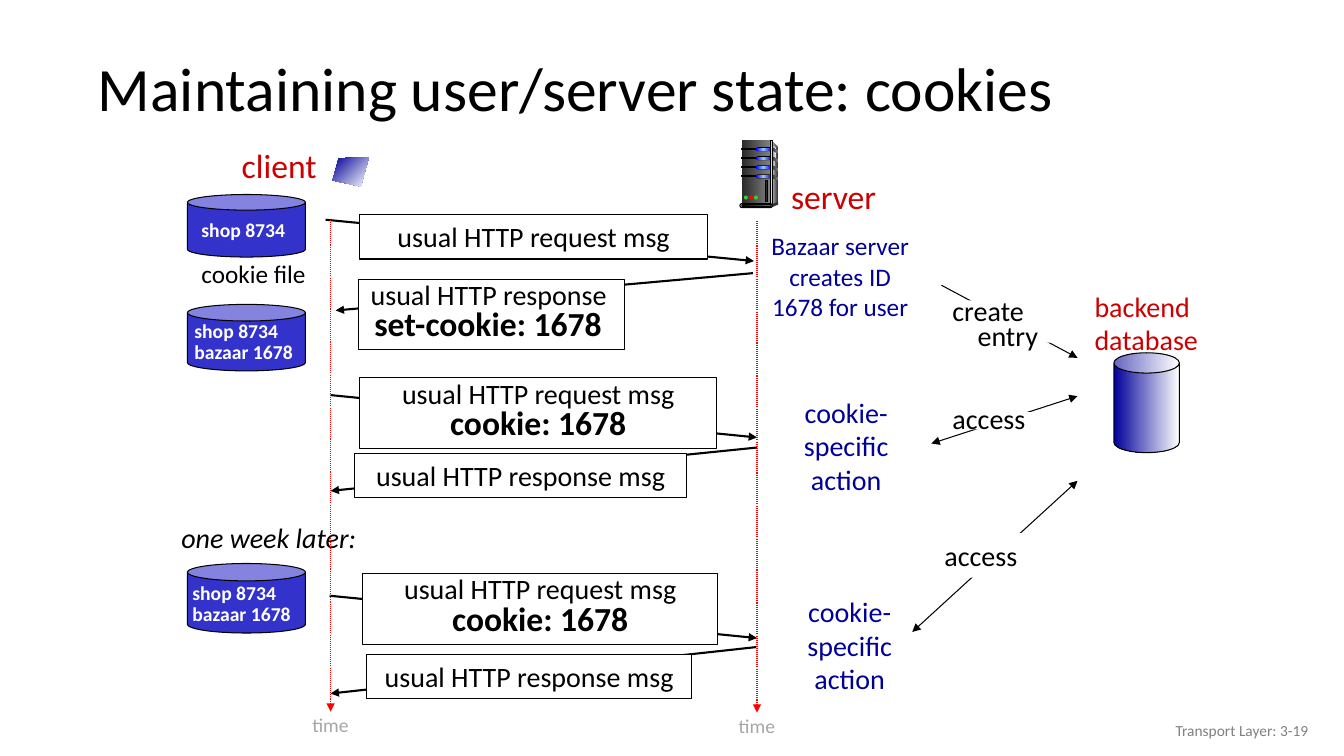
from copy import deepcopy
from dataclasses import dataclass
from typing import NamedTuple

from pptx import Presentation
from pptx.dml.color import RGBColor
from pptx.enum.dml import MSO_LINE as Dash
from pptx.enum.shapes import MSO_CONNECTOR as Connector, MSO_SHAPE as Preset
from pptx.enum.text import MSO_ANCHOR as Anchor, MSO_AUTO_SIZE as AutoSize, PP_ALIGN as Align
from pptx.oxml.xmlchemy import OxmlElement as Element
from pptx.util import Inches, Pt

FONT = "Calibri"
CELL = Inches(0.1)  # the page is a grid of 133.3 columns by 75 rows
COLOURS = {
    "black": "000000", "white": "FFFFFF", "red": "CC0000", "navy": "000099",
    "can": "3333CC", "axis": "FF0000", "time": "A6A6A6", "grey": "808080",
    "dark": "333333", "darker": "292929", "light": "DDDDDD", "pale": "F8F8F8",
    "glow": "99CCFF", "blue": "0000FF", "green": "33CC33",
}


class Box(NamedTuple):
    left: float
    top: float
    width: float
    height: float


class Line(NamedTuple):
    text: str
    size: int = 20
    bold: bool = False
    indent: float = 0


Point = tuple[float, float]


@dataclass
class Message:
    start: Point
    end: Point
    box: Box
    lines: list[Line]


@dataclass
class Label:
    box: Box
    lines: list[Line]
    colour: str = "black"
    align: Align = Align.LEFT
    spacing: float = 1
    wrap: bool = False
    italic: bool = False


@dataclass
class Link:
    start: Point
    end: Point
    mask: Box
    label: Label
    both_ways: bool = True


def cells(count: float) -> int:
    return round(count * CELL)


def rgb(name: str) -> RGBColor:
    return RGBColor.from_string(COLOURS[name])


deck = Presentation()
deck.slide_width, deck.slide_height = cells(133.33), cells(75)
page = deck.slides.add_slide(deck.slide_layouts[5])


def write(frame, lines: list[Line], *, colour: str = "black", align: Align = Align.LEFT,
          spacing: float = 1, wrap: bool = True, italic: bool = False, grow: bool = True,
          anchor: Anchor = Anchor.TOP) -> None:
    frame.word_wrap = wrap
    frame.auto_size = AutoSize.SHAPE_TO_FIT_TEXT if grow else AutoSize.NONE
    frame.vertical_anchor = anchor
    for index, line in enumerate(lines):
        para = frame.add_paragraph() if index else frame.paragraphs[0]
        para.alignment, para.line_spacing = align, spacing
        if line.indent:
            para._p.get_or_add_pPr().set("marL", str(cells(line.indent)))
        span = para.add_run()
        span.text = line.text
        font = span.font
        font.name, font.size, font.bold, font.italic = FONT, Pt(line.size), line.bold, italic
        font.color.rgb = rgb(colour)


def paint(shape, fills: list[str], outline: bool, angle: float = 0) -> None:
    shape.shadow.inherit = False
    if len(fills) == 1:
        shape.fill.solid()
        shape.fill.fore_color.rgb = rgb(fills[0])
    else:
        shape.fill.gradient()
        shape.fill.gradient_angle = angle
        stop_list = shape.fill._fill._gradFill.gsLst if len(fills) > 2 else None
        if stop_list is not None:
            stop_list.append(deepcopy(stop_list[-1]))
        for index, (stop, name) in enumerate(zip(shape.fill.gradient_stops, fills)):
            stop.color.rgb = rgb(name)
            stop.position = index / (len(fills) - 1)
    if outline:
        shape.line.color.rgb, shape.line.width = rgb("black"), Pt(0.75)
    else:
        shape.line.fill.background()


def add_preset(kind: Preset, box: Box, *fills: str, outline: bool = False,
               adjust: float | None = None):
    shape = page.shapes.add_shape(kind, *map(cells, box))
    if adjust is not None:
        shape.adjustments[0] = adjust
    paint(shape, list(fills), outline)
    return shape


def add_outline(points: list[Point], *fills: str, angle: float = 0) -> None:
    corners = [(cells(x), cells(y)) for x, y in points]
    builder = page.shapes.build_freeform(*corners[0])
    builder.add_line_segments(corners[1:], close=True)
    paint(builder.convert_to_shape(), list(fills), False, angle)


def add_arrow(start: Point, end: Point, *, width: float = 0.75, colour: str = "black",
              both_ways: bool = False, dotted: bool = False) -> None:
    arrow = page.shapes.add_connector(Connector.STRAIGHT, *map(cells, (*start, *end)))
    arrow.line.color.rgb, arrow.line.width = rgb(colour), Pt(width)
    if dotted:
        arrow.line.dash_style = Dash.ROUND_DOT
    for tag in ["a:headEnd", "a:tailEnd"] if both_ways else ["a:tailEnd"]:
        tip = Element(tag)
        tip.set("type", "triangle")
        arrow.line._get_or_add_ln().append(tip)
    arrow._element.spPr.append(Element("a:effectLst"))


def add_label(label: Label) -> None:
    box = page.shapes.add_textbox(*map(cells, label.box))
    write(box.text_frame, label.lines, colour=label.colour, align=label.align,
          spacing=label.spacing, wrap=label.wrap, italic=label.italic)


def add_message(message: Message) -> None:
    add_arrow(message.start, message.end, width=1.5)
    box = add_preset(Preset.RECTANGLE, message.box, "white", outline=True)
    write(box.text_frame, message.lines, align=Align.CENTER,
          spacing=0.8 if len(message.lines) > 1 else 1)


def add_link(link: Link) -> None:
    add_arrow(link.start, link.end, both_ways=link.both_ways)
    add_preset(Preset.RECTANGLE, link.mask, "white")
    add_label(link.label)


def add_cookie_file(box: Box, label: Label) -> None:
    add_preset(Preset.CAN, box, "can", outline=True, adjust=0.25)
    add_label(label)


def add_server() -> None:
    add_outline([(76.5, 13.9), (77.2, 14.7), (77.2, 20), (76.4, 20.3)], "light", "dark")
    add_preset(Preset.RECTANGLE, Box(73.6, 13.9, 2.8, 6.4), "darker", "grey")
    add_outline([(76.6, 14.3), (77, 14.8), (76.7, 17.5), (76.6, 20.1)], "grey", "pale")
    for row in range(4):  # drive bays
        top = 14.6 + 0.9 * row
        add_preset(Preset.RECTANGLE, Box(73.6, top + 0.1, 1.6, 0.1), "black", outline=True)
        add_preset(Preset.ROUNDED_RECTANGLE, Box(75, top, 1.6, 0.4), "black", adjust=0.5)
        add_preset(Preset.ROUNDED_RECTANGLE, Box(75, top + 0.05, 1.5, 0.3),
                   "blue", "glow", "blue", adjust=0.5)
        add_outline([(76.5, top), (77.2, top + 0.35), (77.2, top + 0.6), (76.5, top + 0.25)],
                    "darker", "grey")
    add_preset(Preset.RECTANGLE, Box(76.4, 13.9, 0.2, 6.4), "dark", "light", "dark", outline=True)
    add_outline([(76.5, 20.3), (76.5, 20.6), (77.2, 20.3), (77.2, 20)], "dark")
    add_preset(Preset.ROUNDED_RECTANGLE, Box(73.4, 20.2, 3.2, 0.4), "light", outline=True, adjust=0.5)
    add_preset(Preset.ROUNDED_RECTANGLE, Box(73.6, 20.3, 2.9, 0.2), "black", "grey",
               outline=True, adjust=0.5)
    for index, lamp in enumerate(["green", "axis", "green"]):
        add_preset(Preset.OVAL, Box(73.8 + 0.5 * index, 19.4, 0.4, 0.4), lamp)
    add_preset(Preset.RECTANGLE, Box(75.9, 17.9, 0.2, 2.1), "darker", outline=True)


REQUEST, RESPONSE = Line("usual HTTP request msg"), Line("usual HTTP response msg")
WITH_COOKIE = [REQUEST, Line("cookie: 1678", 24, True)]
SET_COOKIE = [Line("usual HTTP response "), Line("set-cookie: 1678 ", 24, True)]
FIRST_ENTRY, SECOND_ENTRY = Line("shop 8734", 14, True), Line("bazaar 1678", 14, True)
ACTION = [Line("cookie-"), Line("specific"), Line("action")]
CREATES_ID = [Line(text, 18) for text in ("Bazaar server", "creates ID", "1678 for user")]
ACCESS = [Line("access")]

MESSAGES = [
    Message((75.1, 44.4), (32.8, 48.7), Box(35.2, 45, 32.9, 4.4), [RESPONSE]),
    Message((75, 64.2), (32.8, 68.8), Box(36.4, 64.9, 32.2, 4.4), [RESPONSE]),
    Message((32.8, 39.2), (75.1, 43.4), Box(35.7, 37.5, 35.4, 7), WITH_COOKIE),
    Message((32.3, 21.8), (74.8, 25.9), Box(35.7, 21.3, 34.5, 4.4), [REQUEST]),
    Message((74.7, 27.1), (33.3, 30.8), Box(35.6, 27.7, 26.4, 7), SET_COOKIE),
    Message((32.7, 59.1), (75.1, 63.3), Box(36, 56.9, 35.2, 7), WITH_COOKIE),
]
LABELS = [
    Label(Box(22.9, 13.9, 9.6, 5), [Line("client", 24)], "red", Align.CENTER),
    Label(Box(77.4, 17, 10.6, 5), [Line("server", 24)], "red", Align.CENTER),
    Label(Box(19, 25.1, 19.5, 4), [Line("cookie file", 18)], wrap=True),
    Label(Box(17, 51.1, 19.8, 4.4), [Line("one week later:")], italic=True),
    Label(Box(74.7, 22.4, 17.3, 10.1), CREATES_ID, "navy", Align.CENTER),
    Label(Box(77.6, 38.7, 12.7, 11.1), ACTION, "navy", Align.CENTER),
    Label(Box(78, 58.5, 12.6, 11.1), ACTION, "navy", Align.CENTER),
    Label(Box(107.6, 28.2, 12.5, 7.7), [Line("backend"), Line("database")], "red"),
]
LINKS = [
    Link((92.4, 44), (106.9, 39.3), Box(95.7, 40.9, 8.1, 1.7),
         Label(Box(93.5, 39.3, 11.3, 4.4), ACCESS)),
    Link((93.4, 28.3), (106.9, 35.5), Box(95.3, 29.8, 12.3, 4.2),
         Label(Box(93.5, 29.4, 15, 6.2), [Line("create"), Line("entry", indent=2.5)],
               spacing=0.75, wrap=True), both_ways=False),
    Link((90.5, 62.7), (106.9, 47.7), Box(92.7, 52.9, 11.2, 4.4),
         Label(Box(92.7, 52.9, 11.2, 4.4), ACCESS)),
]
COOKIE_FILES = [
    (Box(18.6, 19.3, 11.7, 6.2), Label(Box(19, 21.1, 11, 3.4), [FIRST_ENTRY], "white")),
    (Box(18.6, 30.2, 11.7, 6.6), Label(Box(18.3, 31.4, 15.9, 5.3), [FIRST_ENTRY, SECOND_ENTRY],
                                       "white", spacing=0.9, wrap=True)),
    (Box(18.6, 55.9, 11.7, 6.9), Label(Box(18.1, 57.4, 15.2, 5.2), [FIRST_ENTRY, SECOND_ENTRY],
                                       "white", spacing=0.9, wrap=True)),
]

# Title
title = page.shapes.title
title.left, title.top, title.width, title.height = map(cells, Box(8.7, 4.2, 115, 9.8))
write(title.text_frame, [Line("Maintaining user/server state: cookies", 44)],
      spacing=0.9, grow=False, anchor=Anchor.MIDDLE)

# Exchange between client and server, and access to the database
for message in MESSAGES:
    add_message(message)
for link in LINKS:
    add_link(link)
for can, entries in COOKIE_FILES:
    add_cookie_file(can, entries)
for label in LABELS:
    add_label(label)

# Database, server and client icons
add_preset(Preset.CAN, Box(110.5, 35, 6.5, 9.9), "navy", "white", outline=True, adjust=0.31)
add_server()
add_outline([(36.6, 15.6), (33.6, 15.7), (33, 17.9), (35.8, 18.5)], "navy", "white", angle=315)

# Time axes
for column, top in ((32.8, 21.8), (75.1, 21.9)):
    add_arrow((column, top), (column, top + 48.8), colour="axis", dotted=True)
    add_label(Label(Box(column - 2.8, top + 48.8, 5.7, 3), [Line("time", 14)], "time", spacing=0.85))

# Page number
footer = page.shapes.add_textbox(*map(cells, Box(100.8, 70.5, 30, 4)))
write(footer.text_frame, [Line("Transport Layer: 3-19", 11)], colour="grey",
      align=Align.RIGHT, grow=False, anchor=Anchor.MIDDLE)

deck.save("out.pptx")
